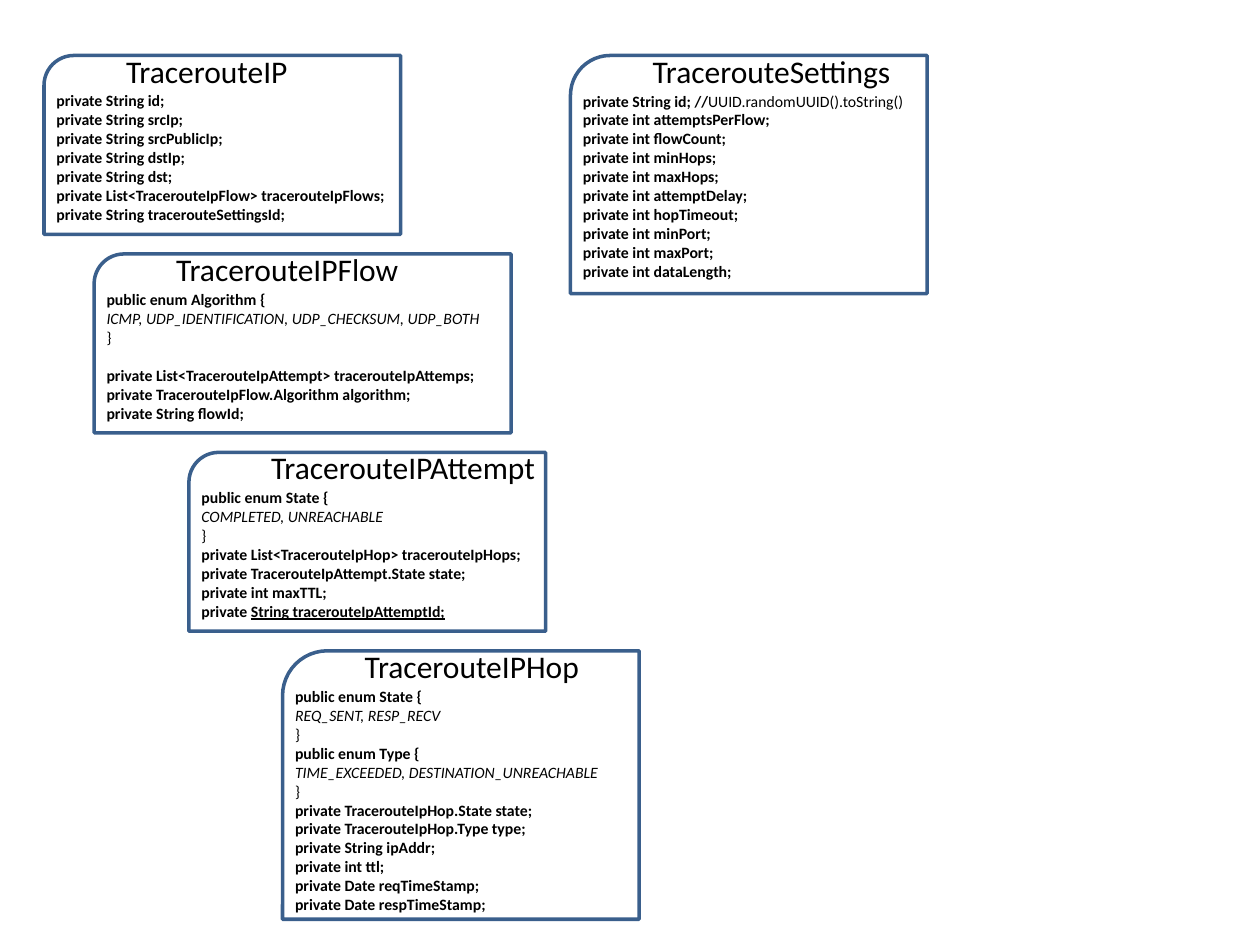
from dataclasses import dataclass

from pptx import Presentation
from pptx.dml.color import RGBColor
from pptx.enum.shapes import MSO_SHAPE
from pptx.enum.text import MSO_AUTO_SIZE
from pptx.util import Pt

CARD_SHAPE = MSO_SHAPE.ROUND_1_RECTANGLE
GROW = MSO_AUTO_SIZE.SHAPE_TO_FIT_TEXT


@dataclass(frozen=True)
class Theme:
    font: str = "Calibri"
    text: RGBColor = RGBColor(0x00, 0x00, 0x00)
    outline: RGBColor = RGBColor(0x3A, 0x5F, 0x8C)
    outline_width: float = 2
    name_size: float = 18
    code_size: float = 9
    code_leading: float = 10.95


@dataclass(frozen=True)
class Piece:
    text: str
    bold: bool = False
    italic: bool = False
    underline: bool = False


@dataclass(frozen=True)
class Line:
    pieces: tuple[Piece, ...]
    gap_before: float = 0


@dataclass(frozen=True)
class ClassCard:
    name: str
    left: float
    row: int
    width: float
    height: float
    name_width: float
    code_width: float
    lines: list[Line]


THEME = Theme()
FIRST_TOP, ROW_STEP = 31.7, 113.4
NAME_DX, NAME_DY, NAME_HEIGHT = 39.8, -5.8, 29.1
CODE_DY, INSETS = 16.9, 7.2


def private(*declarations: str) -> list[Line]:
    return [Line((Piece(f"private {item};", bold=True),)) for item in declarations]


def enum_block(name: str, values: str) -> list[Line]:
    return [
        Line((Piece(f"public enum {name} {{", bold=True),)),
        Line((Piece(values, italic=True),)),
        Line((Piece("}"),)),
    ]


# Class contents
settings_id = Line((Piece("private String id; //", bold=True),
                    Piece("UUID.randomUUID().toString()")))
attempt_id = Line((Piece("private ", bold=True),
                   Piece("String tracerouteIpAttemptId;", bold=True, underline=True)))
attempts_list = Line(
    (Piece("private List<TracerouteIpAttempt> tracerouteIpAttemps;", bold=True),),
    gap_before=THEME.code_leading)

CARDS = [
    ClassCard("TracerouteIP", 25.2, 0, 203.8, 102.2, 108, 206.6, private(
        "String id", "String srcIp", "String srcPublicIp", "String dstIp", "String dst",
        "List<TracerouteIpFlow> tracerouteIpFlows", "String tracerouteSettingsId")),
    ClassCard("TracerouteIPFlow", 53.8, 1, 238.3, 102.2, 142.6, 231.8, [
        *enum_block("Algorithm", "ICMP, UDP_IDENTIFICATION, UDP_CHECKSUM, UDP_BOTH"),
        attempts_list,
        *private("TracerouteIpFlow.Algorithm algorithm", "String flowId")]),
    ClassCard("TracerouteSettings", 326, 0, 203.8, 136.1, 152.6, 200.2, [
        settings_id,
        *private("int attemptsPerFlow", "int flowCount", "int minHops", "int maxHops",
                 "int attemptDelay", "int hopTimeout", "int minPort", "int maxPort",
                 "int dataLength")]),
    ClassCard("TracerouteIPAttempt", 108, 2, 203.8, 102.2, 167, 200.9, [
        *enum_block("State", "COMPLETED, UNREACHABLE"),
        *private("List<TracerouteIpHop> tracerouteIpHops",
                 "TracerouteIpAttempt.State state", "int maxTTL"),
        attempt_id]),
    ClassCard("TracerouteIPHop", 161.5, 3, 203.8, 153.4, 138.2, 190.8, [
        *enum_block("State", "REQ_SENT, RESP_RECV"),
        *enum_block("Type", "TIME_EXCEEDED, DESTINATION_UNREACHABLE"),
        *private("TracerouteIpHop.State state", "TracerouteIpHop.Type type",
                 "String ipAddr", "int ttl", "Date reqTimeStamp", "Date respTimeStamp")]),
]


def add_text(slide, left: float, top: float, width: float, height: float,
             lines: list[Line], size: float) -> None:
    box = slide.shapes.add_textbox(Pt(left), Pt(top), Pt(width), Pt(height))
    frame = box.text_frame
    frame.word_wrap = False
    frame.auto_size = GROW
    for index, line in enumerate(lines):
        paragraph = frame.add_paragraph() if index else frame.paragraphs[0]
        if line.gap_before:
            paragraph.space_before = Pt(line.gap_before)
        for piece in line.pieces:
            run = paragraph.add_run()
            run.text = piece.text
            font = run.font
            font.name, font.size = THEME.font, Pt(size)
            font.bold, font.italic = piece.bold, piece.italic
            font.underline = piece.underline
            font.color.rgb = THEME.text


def add_card(slide, card: ClassCard) -> None:
    top = FIRST_TOP + card.row * ROW_STEP
    # Outline, mirrored so the round corner is at top left
    outline = slide.shapes.add_shape(
        CARD_SHAPE, Pt(card.left), Pt(top), Pt(card.width), Pt(card.height))
    outline.element.spPr.xfrm.set("flipH", "1")
    outline.shadow.inherit = False
    outline.fill.background()
    outline.line.color.rgb = THEME.outline
    outline.line.width = Pt(THEME.outline_width)
    # Class name and members
    add_text(slide, card.left + NAME_DX, top + NAME_DY, card.name_width, NAME_HEIGHT,
             [Line((Piece(card.name),))], THEME.name_size)
    code_height = INSETS + sum(
        THEME.code_leading + line.gap_before for line in card.lines)
    add_text(slide, card.left, top + CODE_DY, card.code_width, code_height,
             card.lines, THEME.code_size)


presentation = Presentation()
presentation.slide_width, presentation.slide_height = Pt(720), Pt(540)
class_diagram = presentation.slides.add_slide(presentation.slide_layouts[6])
for class_card in CARDS:
    add_card(class_diagram, class_card)
presentation.save("out.pptx")
